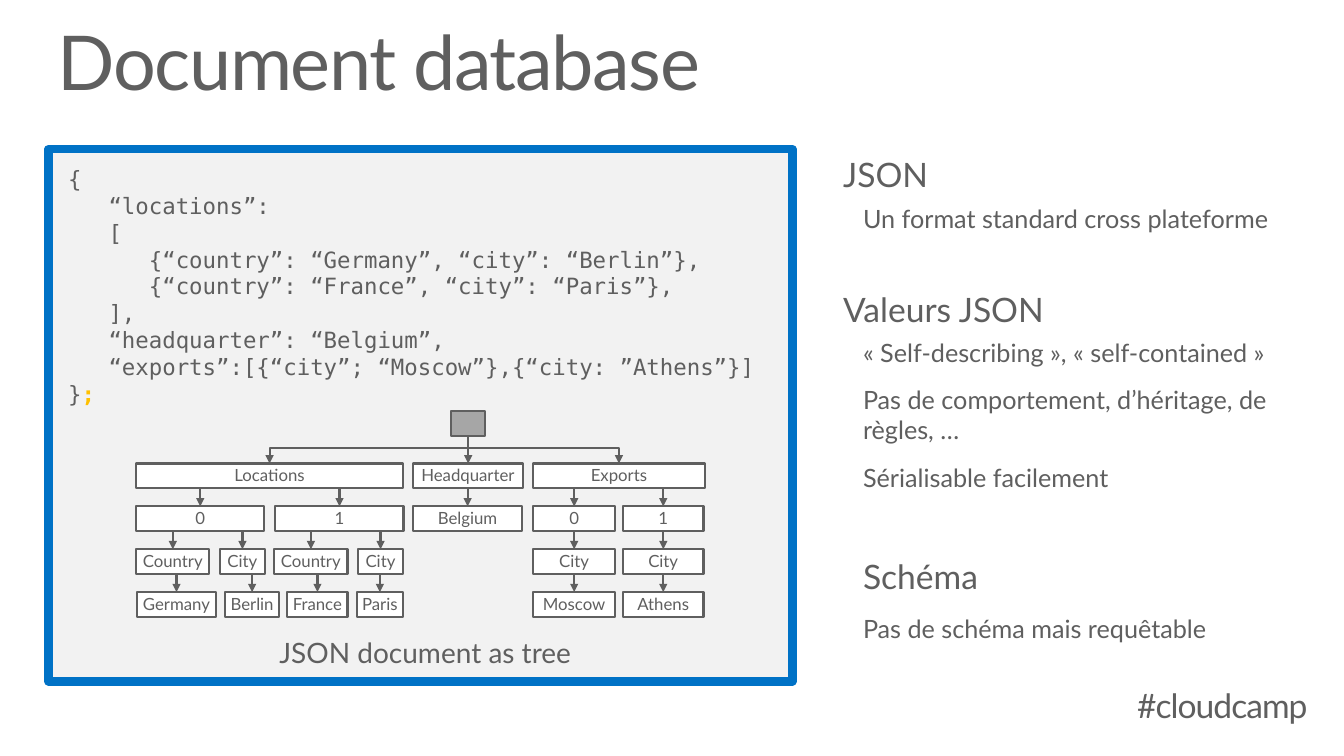
"""Build the slide on document databases."""
from lxml import etree
from pptx import Presentation
from pptx import util as u
from pptx.dml.color import RGBColor
from pptx.enum import shapes, text
from pptx.oxml import ns

GREY = RGBColor(0x5F, 0x5F, 0x5F)
ROOT_GREY = RGBColor(0xA6, 0xA6, 0xA6)
PANEL_GREY = RGBColor(0xF2, 0xF2, 0xF2)
BLUE = RGBColor(0x00, 0x72, 0xC6)
YELLOW = RGBColor(0xFF, 0xC0, 0x00)
WHITE = RGBColor(0xFF, 0xFF, 0xFF)

CODE = """{
   “locations”:
   [
      {“country”: “Germany”, “city”: “Berlin”},
      {“country”: “France”, “city”: “Paris”},
   ],
   “headquarter”: “Belgium”,
   “exports”:[{“city”; “Moscow”},{“city: ”Athens”}]
}""".split("\n")

TREE_ROWS = [
    [("Locations", 0, 6.73), ("Headquarter", 6.98, 2.77), ("Exports", 10.01, 4.32)],
    [("0", 0, 3.23), ("1", 3.51, 3.23), ("Belgium", 6.98, 2.75),
     ("0", 10.01, 2.06), ("1", 12.27, 2.03)],
    [("Country", 0, 1.85), ("City", 2.11, 1.14), ("Country", 3.48, 1.85),
     ("City", 5.59, 1.14), ("City", 10.01, 2.06), ("City", 12.27, 2.03)],
    [("Germany", 0.03, 1.98), ("Berlin", 2.24, 1.37), ("France", 3.81, 1.52),
     ("Paris", 5.56, 1.17), ("Moscow", 10.01, 2.06), ("Athens", 12.27, 2.03)],
]
NODE_HEIGHT = 0.63
ROW_STEP = 1.08
FIRST_ROW = 1.32
BRANCH = 0.94
ROOT_LEFT, ROOT_WIDTH = 7.94, 0.86

POINTS = [
    ("JSON", 24, 0, 0, 0),
    ("Un format standard cross plateforme", 18, 0.5, 6, 6),
    ("Valeurs JSON", 24, 0, 33.6, 0),
    ("« Self-describing », « self-contained »", 18, 0.5, 6, 6),
    ("Pas de comportement, d’héritage, de règles, …", 18, 0.5, 6, 6),
    ("Sérialisable facilement", 18, 0.5, 6, 6),
    ("Schéma", 24, 0.5, 39.6, 6),
    ("Pas de schéma mais requêtable", 18, 0.5, 6, 6),
]


def style(font, size, name="Lato", color=GREY):
    """Set the size, typeface and colour of a font."""
    font.size, font.name = u.Pt(size), name
    font.color.rgb = color


def set_insets(frame, left, top, right, bottom):
    """Set the inner margins of a text frame and let it wrap."""
    frame.word_wrap = True
    frame.margin_left, frame.margin_top = u.Cm(left), u.Cm(top)
    frame.margin_right, frame.margin_bottom = u.Cm(right), u.Cm(bottom)


def add_box(page, box, fill, line, width):
    """Add a filled and outlined rectangle."""
    shape = page.shapes.add_shape(shapes.MSO_SHAPE.RECTANGLE, *map(u.Cm, box))
    shape.shadow.inherit = False
    shape.fill.solid()
    shape.fill.fore_color.rgb = fill
    shape.line.color.rgb = line
    shape.line.width = u.Pt(width)
    return shape


def add_heading(page, box, words, size, spacing, align):
    """Add one tightly spaced line of text."""
    frame = page.shapes.add_textbox(*map(u.Cm, box)).text_frame
    set_insets(frame, 0, 0, 0, 0)
    frame.text = words
    para = frame.paragraphs[0]
    para.alignment, para.line_spacing = align, 0.9
    span = para.runs[0]
    style(span.font, size)
    span.font._element.set("spc", str(spacing))


def add_arrow(page, start, end):
    """Add an arrow, bent once when its ends are not aligned."""
    bent = start[0] != end[0]
    kind = shapes.MSO_CONNECTOR.ELBOW if bent else shapes.MSO_CONNECTOR.STRAIGHT
    arrow = page.shapes.add_connector(kind, *map(u.Cm, start + end))
    arrow.line.color.rgb = GREY
    arrow.line.width = u.Pt(1.5)
    properties = arrow._element.spPr
    if bent:
        properties.find(ns.qn("a:prstGeom")).set("prst", "bentConnector2")
    tail = etree.SubElement(arrow.line._get_or_add_ln(), ns.qn("a:tailEnd"))
    tail.set("type", "triangle")
    etree.SubElement(properties, ns.qn("a:effectLst"))


def add_node(page, box, label):
    """Add a labelled tree node."""
    frame = add_box(page, box, WHITE, GREY, 1.5).text_frame
    set_insets(frame, 0, 0, 0, 0)
    frame.vertical_anchor = text.MSO_ANCHOR.MIDDLE
    frame.text = label
    para = frame.paragraphs[0]
    para.alignment, para.line_spacing = text.PP_ALIGN.CENTER, 0.9
    style(para.runs[0].font, 12)


def add_tree(page, left, top):
    """Draw the document tree with its top left corner at the given point."""
    root_x = round(left + ROOT_LEFT + ROOT_WIDTH / 2, 2)
    for level, row in enumerate(TREE_ROWS):
        y = top + FIRST_ROW + level * ROW_STEP
        for label, offset, width in row:
            add_node(page, (left + offset, y, width, NODE_HEIGHT), label)
            center = left + offset + width / 2
            if level:
                start = (center, y - ROW_STEP + NODE_HEIGHT)
            elif label == "Headquarter":
                center = root_x
                start = (root_x, top + NODE_HEIGHT)
            else:
                start = (root_x, top + BRANCH)
            add_arrow(page, start, (center, y))
    add_box(page, (left + ROOT_LEFT, top, ROOT_WIDTH, NODE_HEIGHT), ROOT_GREY, GREY, 1.5)


def add_code_panel(page, box):
    """Draw the framed panel with the code, the tree and its caption."""
    frame = add_box(page, box, PANEL_GREY, BLUE, 6).text_frame
    set_insets(frame, 0.5, 0.4, 0.25, 0.4)
    frame.vertical_anchor = text.MSO_ANCHOR.TOP
    for index, line in enumerate(CODE):
        para = frame.add_paragraph() if index else frame.paragraphs[0]
        para.text = line
        para.alignment = text.PP_ALIGN.LEFT
        style(para.runs[0].font, 16, "DejaVu Sans Mono")
    span = para.add_run()
    span.text = ";"
    style(span.font, 16, "DejaVu Sans Mono", YELLOW)
    span.font.bold = True
    caption = frame.add_paragraph()
    caption.text = "JSON document as tree"
    caption.alignment = text.PP_ALIGN.CENTER
    caption.space_before = u.Pt(163)
    style(caption.runs[0].font, 20)
    add_tree(page, box[0] + 2.21, box[1] + 6.6)


def add_points(page, box):
    """Write the list of points beside the panel."""
    frame = page.shapes.add_textbox(*map(u.Cm, box)).text_frame
    set_insets(frame, 0.25, 0.13, 0.25, 0.13)
    for index, (words, size, indent, before, after) in enumerate(POINTS):
        para = frame.add_paragraph() if index else frame.paragraphs[0]
        para.text = words
        para._p.get_or_add_pPr().set("marL", str(u.Cm(indent)))
        para.space_before, para.space_after = u.Pt(before), u.Pt(after)
        style(para.runs[0].font, size)


def main():
    """Assemble the slide and save the deck."""
    deck = Presentation()
    deck.slide_width, deck.slide_height = u.Cm(33.87), u.Cm(19.05)
    page = deck.slides.add_slide(deck.slide_layouts[6])
    add_heading(page, (26.8, 17.37, 6.15, 0.91), "#cloudcamp", 24, -70, text.PP_ALIGN.RIGHT)
    add_heading(page, (1.45, 0.64, 30.96, 2.08), "Document database", 54, -100,
                text.PP_ALIGN.LEFT)
    add_points(page, (21, 3.76, 12.2, 13.41))
    add_code_panel(page, (1.22, 3.76, 18.75, 13.41))
    deck.save("out.pptx")


if __name__ == "__main__":
    main()
